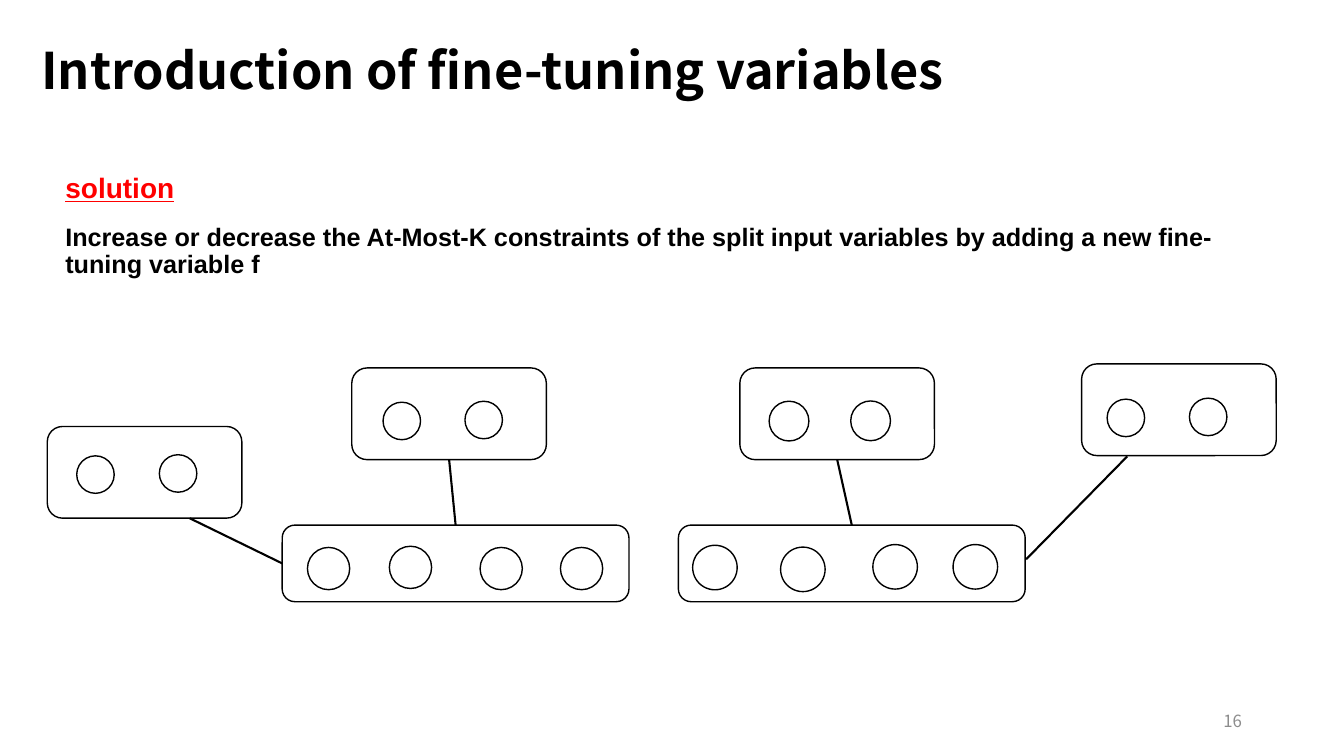
from lxml import etree
from pptx import Presentation
from pptx.dml.color import RGBColor
from pptx.enum import shapes, text
from pptx.oxml import ns
from pptx.util import Pt

COLORS = {"ink": "000000", "accent": "FF0000", "number": "8C8C8C", "paper": "FFFFFF"}
HEADING_FONT, BODY_FONT = "Noto Sans CJK JP", "Arial"
TOP, LEFT, BOTTOM = 0, 1, 2

SMALL_BOX = (139, 65.5)
LARGE_BOX = (247.7, 54.7)

# Box corner, box size, circle size, circle corners relative to the box
GROUPS = {
    "outer left": ((33.8, 304.6), SMALL_BOX, 26.8, [(21, 21), (80, 20.2)]),
    "inner left": ((251.3, 262.8), SMALL_BOX, 26.8, [(22.3, 24.5), (80.8, 23.8)]),
    "inner right": ((528.5, 262.8), SMALL_BOX, 28.4, [(20.9, 23.8), (79.2, 23.6)]),
    "outer right": ((772.6, 259.9), SMALL_BOX, 26.8, [(18.2, 25.2), (77, 24.5)]),
    "lower left": ((201.6, 375.1), LARGE_BOX, 30.2,
                   [(18, 15.9), (76.5, 15.1), (141.3, 15.9), (198.7, 15.9)]),
    "lower right": ((484.6, 375.1), LARGE_BOX, 31.8,
                    [(10.2, 14.4), (73, 15.7), (138.9, 13.9), (196.2, 13.9)]),
}


def rgb(name):
    return RGBColor.from_string(COLORS[name])


def add_text(page, area, words, color, anchor=text.MSO_ANCHOR.TOP, layout=None, **font):
    box = page.shapes.add_textbox(*map(Pt, area))
    frame = box.text_frame
    frame.word_wrap = True
    frame.vertical_anchor = anchor
    para = frame.paragraphs[0]
    for name, value in (layout or {}).items():
        setattr(para, name, value)
    span = para.add_run()
    span.text = words
    for name, value in font.items():
        setattr(span.font, name, value)
    span.font.color.rgb = rgb(color)


def add_outline(page, kind, area, fill=None):
    """Draw a thin black outline, filled only when a colour is named."""
    shape = page.shapes.add_shape(kind, *map(Pt, area))
    shape.shadow.inherit = False
    shape.line.color.rgb = rgb("ink")
    shape.line.width = Pt(1)
    if fill:
        shape.fill.solid()
        shape.fill.fore_color.rgb = rgb(fill)
    else:
        shape.fill.background()
    return shape


def add_group(page, corner, size, diameter, circles):
    """Draw a rounded box with its variables and return the box."""
    left, top = corner
    box = add_outline(page, shapes.MSO_SHAPE.ROUNDED_RECTANGLE, (left, top, *size))
    for dx, dy in circles:
        add_outline(page, shapes.MSO_SHAPE.OVAL,
                    (left + dx, top + dy, diameter, diameter), "paper")
    return box


def add_link(page, start=(0, 0), end=(0, 0), begin_join=None, end_join=None):
    """Draw a line; a join is a (box, side) pair that replaces a free end."""
    link = page.shapes.add_connector(shapes.MSO_CONNECTOR.STRAIGHT, *map(Pt, start + end))
    if begin_join:
        link.begin_connect(*begin_join)
    if end_join:
        link.end_connect(*end_join)
    link.line.color.rgb = rgb("ink")
    link.line.width = Pt(1.5)
    etree.SubElement(link._element.spPr, ns.qn("a:effectLst"))


def add_heading(page):
    add_text(page, (22.3, 29.5, 787.7, 55.4), "Introduction of fine-tuning variables", "ink",
             layout={"line_spacing": 0.9}, size=Pt(36), name=HEADING_FONT, bold=True)


def add_solution(page, left, top):
    add_text(page, (left, top, 224, 35.3), "solution", "accent",
             layout={"line_spacing": 0.9}, size=Pt(20), name=BODY_FONT,
             bold=True, underline=True)
    add_text(page, (left, top + 36, 854.6, 57.6),
             "Increase or decrease the At-Most-K constraints of the split input variables "
             "by adding a new fine-tuning variable f", "ink",
             layout={"line_spacing": 0.9}, size=Pt(18), name=BODY_FONT, bold=True)


def add_diagram(page):
    boxes = {name: add_group(page, *group) for name, group in GROUPS.items()}
    for side in ("left", "right"):
        add_link(page, begin_join=(boxes[f"inner {side}"], BOTTOM),
                 end_join=(boxes[f"lower {side}"], TOP))
    add_link(page, start=(135.5, 370.2), end_join=(boxes["lower left"], LEFT))
    add_link(page, start=(805.2, 326), end=(733, 399.5))


def add_page_number(page):
    add_text(page, (678.2, 500.4, 216, 28.8), "16", "number", text.MSO_ANCHOR.MIDDLE,
             {"alignment": text.PP_ALIGN.RIGHT}, size=Pt(12), name=HEADING_FONT)


def main():
    deck = Presentation()
    deck.slide_width, deck.slide_height = Pt(960), Pt(540)
    page = deck.slides.add_slide(deck.slide_layouts[6])
    add_heading(page)
    add_solution(page, 39.6, 121)
    add_diagram(page)
    add_page_number(page)
    deck.save("out.pptx")


if __name__ == "__main__":
    main()
